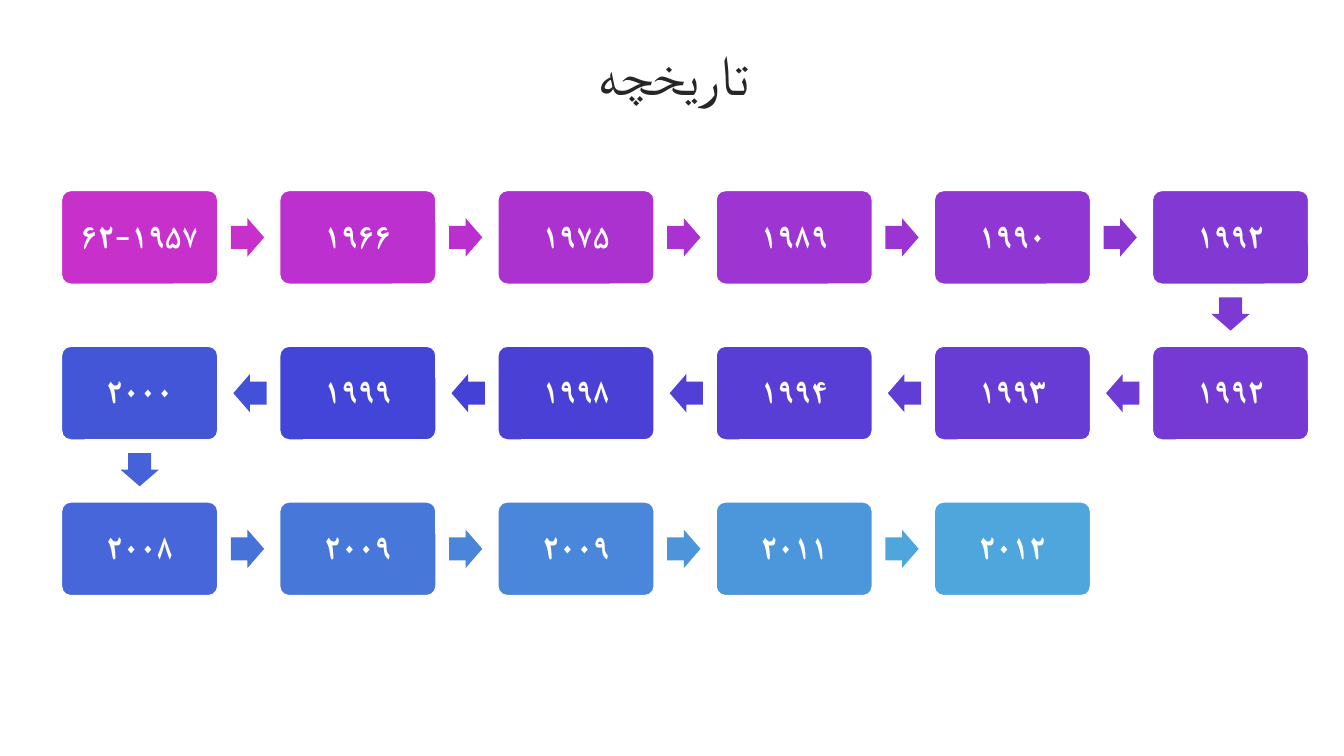
import typing

import lxml.etree
import pptx
import pptx.dml.color
import pptx.enum.shapes
import pptx.enum.text
import pptx.oxml.ns
import pptx.presentation
import pptx.shapes.autoshape
import pptx.slide
import pptx.text.text
import pptx.util

Inches = pptx.util.Inches

FONT = "Calibri"
WHITE = "FFFFFF"
COLUMNS = 6
CARD_WIDTH, CARD_HEIGHT = 1.55, 0.93
ARROW_LENGTH, ARROW_THICKNESS = 0.33, 0.38
FIRST_LEFT, LAST_LEFT = 0.61, 11.43
FIRST_TOP, LAST_TOP = 1.89, 4.98
COLUMN_PITCH = (LAST_LEFT - FIRST_LEFT) / (COLUMNS - 1)
ROW_PITCH = (LAST_TOP - FIRST_TOP) / 2
ARROW_SIDE_OFFSET = 1.07
ARROW_DOWN_OFFSET = 0.76


class Milestone(typing.NamedTuple):
    year: str
    fill: str
    arrow_fill: str | None = None


MILESTONES = [
    Milestone("۱۹۵۷–۶۲", "C830CC", "C830CC"),
    Milestone("۱۹۶۶", "BB30CF", "BA30CF"),
    Milestone("۱۹۷۵", "AC32D0", "AA32D0"),
    Milestone("۱۹۸۹", "9E34D1", "9B34D1"),
    Milestone("۱۹۹۰", "9036D2", "8C36D2"),
    Milestone("۱۹۹۲", "8238D3", "7D39D3"),
    Milestone("۱۹۹۲", "743AD3", "6E3BD4"),
    Milestone("۱۹۹۳", "663CD4", "603DD5"),
    Milestone("۱۹۹۴", "593ED5", "523FD6"),
    Milestone("۱۹۹۸", "4B40D6", "4441D7"),
    Milestone("۱۹۹۹", "4245D7", "4350D8"),
    Milestone("۲۰۰۰", "4456D8", "4562D8"),
    Milestone("۲۰۰۸", "4666D9", "4773D9"),
    Milestone("۲۰۰۹", "4877DA", "4A85DA"),
    Milestone("۲۰۰۹", "4A87DA", "4C95DB"),
    Milestone("۲۰۱۱", "4C96DB", "4EA6DC"),
    Milestone("۲۰۱۲", "4EA6DC"),
]


def rgb(color: str) -> pptx.dml.color.RGBColor:
    return pptx.dml.color.RGBColor.from_string(color)


def write_text(frame: pptx.text.text.TextFrame, text: str, *, size: float, color: str,
               bold: bool = False, inset: float = 0.1) -> None:
    """Fill the frame with one centred right-to-left paragraph."""
    frame.word_wrap = True
    frame.auto_size = pptx.enum.text.MSO_AUTO_SIZE.NONE
    frame.vertical_anchor = pptx.enum.text.MSO_ANCHOR.MIDDLE
    frame.margin_left = frame.margin_right = Inches(inset)
    frame.margin_top = frame.margin_bottom = Inches(inset)
    paragraph = frame.paragraphs[0]
    paragraph.alignment = pptx.enum.text.PP_ALIGN.CENTER
    paragraph.line_spacing = 0.9
    paragraph._p.get_or_add_pPr().set("rtl", "1")
    run = paragraph.add_run()
    run.text = text
    run.font.size = pptx.util.Pt(size)
    run.font.bold = bold
    run.font.color.rgb = rgb(color)
    run.font.name = FONT
    complex_script = lxml.etree.SubElement(run._r.get_or_add_rPr(), pptx.oxml.ns.qn("a:cs"))
    complex_script.set("typeface", FONT)


def add_centred_shape(slide: pptx.slide.Slide, kind: pptx.enum.shapes.MSO_SHAPE,
                      center_x: float, center_y: float, width: float, height: float,
                      fill: str, adjustments: list[float]) -> pptx.shapes.autoshape.Shape:
    shape = slide.shapes.add_shape(kind, Inches(center_x - width / 2), Inches(center_y - height / 2),
                                   Inches(width), Inches(height))
    shape.shadow.inherit = False
    shape.fill.solid()
    shape.fill.fore_color.rgb = rgb(fill)
    shape.line.fill.background()
    for index, value in enumerate(adjustments):
        shape.adjustments[index] = value
    return shape


def add_milestone(slide: pptx.slide.Slide, index: int, milestone: Milestone) -> None:
    """Draw a card on the winding path and the arrow that leaves it."""
    row, step = divmod(index, COLUMNS)
    direction = -1 if row % 2 else 1
    column = step if direction == 1 else COLUMNS - 1 - step
    center_x = FIRST_LEFT + column * COLUMN_PITCH + CARD_WIDTH / 2
    center_y = FIRST_TOP + row * ROW_PITCH + CARD_HEIGHT / 2

    card = add_centred_shape(slide, pptx.enum.shapes.MSO_SHAPE.ROUNDED_RECTANGLE, center_x, center_y,
                             CARD_WIDTH, CARD_HEIGHT, milestone.fill, [0.1])
    card.line.color.rgb = rgb(WHITE)
    card.line.width = pptx.util.Pt(1)
    write_text(card.text_frame, milestone.year, size=24, color=WHITE, bold=True, inset=0.12)

    if milestone.arrow_fill is None:
        return
    if step == COLUMNS - 1:
        center_y += ARROW_DOWN_OFFSET
        rotation = 90
    else:
        center_x += direction * ARROW_SIDE_OFFSET
        rotation = 0 if direction == 1 else 180
    arrow = add_centred_shape(slide, pptx.enum.shapes.MSO_SHAPE.RIGHT_ARROW, center_x, center_y,
                              ARROW_LENGTH, ARROW_THICKNESS, milestone.arrow_fill, [0.6, 0.5])
    arrow.rotation = rotation


def add_title(slide: pptx.slide.Slide, text: str) -> None:
    title = slide.shapes.title
    title.left, title.top = Inches(0.35), Inches(0.37)
    title.width, title.height = Inches(12.66), Inches(0.79)
    write_text(title.text_frame, text, size=40, color="262626")


def main() -> None:
    presentation = pptx.Presentation()
    presentation.slide_width, presentation.slide_height = Inches(13.33), Inches(7.5)
    slide = presentation.slides.add_slide(presentation.slide_layouts[5])
    add_title(slide, "تاریخچه")
    for index, milestone in enumerate(MILESTONES):
        add_milestone(slide, index, milestone)
    presentation.save("out.pptx")


if __name__ == "__main__":
    main()
